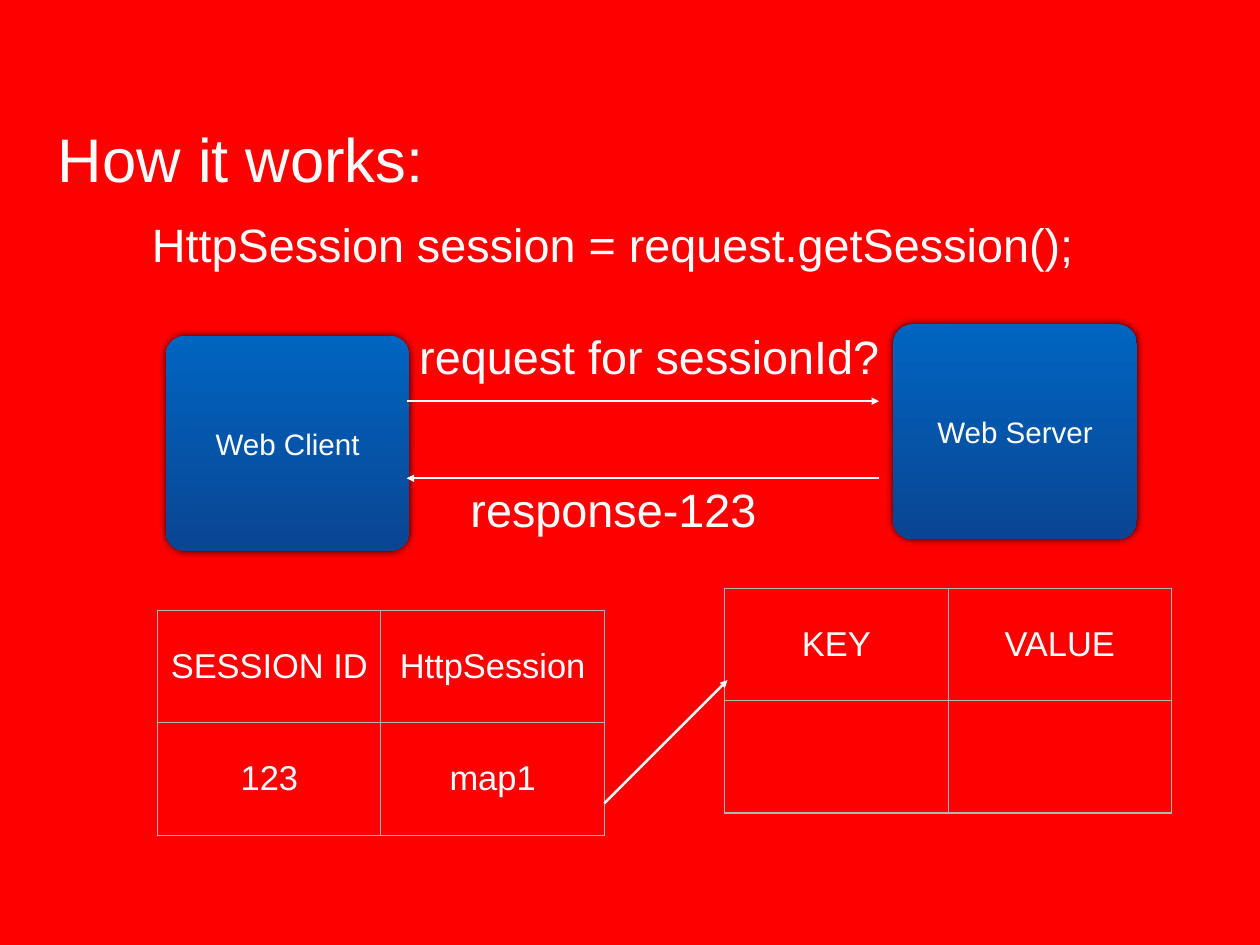
from dataclasses import dataclass

from lxml import etree
from pptx import Presentation
from pptx import util as u
from pptx.dml import color
from pptx.enum import shapes, text
from pptx.oxml import ns

EMU_PER_PX = 9144


@dataclass(frozen=True)
class Theme:
    background: str = "FF0000"
    ink: str = "FFFFFF"
    node_top: str = "0065C1"
    node_bottom: str = "094593"
    grid: str = "B4B4B4"
    shadow: str = "000000"
    font: str = "Arial"
    title: int = 50
    label: int = 38
    cell: int = 28
    node: int = 24


THEME = Theme()


def px(length):
    return u.Emu(length * EMU_PER_PX)


def scaled(box):
    return [px(length) for length in box]


def rgb(value):
    return color.RGBColor.from_string(value)


def add_xml(parent, tag, **attributes):
    return etree.SubElement(parent, ns.qn(tag), attributes)


def add_color(parent, value):
    return add_xml(parent, "a:srgbClr", val=value)


def write(frame, words, size):
    para = frame.paragraphs[0]
    para.alignment = text.PP_ALIGN.CENTER
    span = para.add_run()
    span.text = words
    span.font.name = THEME.font
    span.font.size = u.Pt(size)
    span.font.color.rgb = rgb(THEME.ink)


def set_margins(holder):
    holder.vertical_anchor = text.MSO_ANCHOR.MIDDLE
    holder.margin_left = holder.margin_right = px(6)
    holder.margin_top = holder.margin_bottom = px(6)


def set_frame(frame, wrap):
    frame.word_wrap = wrap
    frame.auto_size = text.MSO_AUTO_SIZE.NONE
    set_margins(frame)


def add_title(page, box, words):
    title = page.shapes.title
    title.left, title.top, title.width, title.height = scaled(box)
    set_frame(title.text_frame, False)
    write(title.text_frame, words, THEME.title)


def add_label(page, box, words):
    label = page.shapes.add_textbox(*scaled(box))
    set_frame(label.text_frame, False)
    write(label.text_frame, words, THEME.label)


def add_node(page, box, words):
    node = page.shapes.add_shape(shapes.MSO_SHAPE.ROUNDED_RECTANGLE, *scaled(box))
    node.adjustments[0] = 0.09
    node.fill.gradient()
    node.fill.gradient_angle = 270
    for stop, value in zip(node.fill.gradient_stops, (THEME.node_top, THEME.node_bottom)):
        stop.color.rgb = rgb(value)
    node.line.fill.background()
    node.shadow.inherit = False
    effects = node.element.spPr.find(ns.qn("a:effectLst"))
    shadow = add_xml(effects, "a:outerShdw", blurRad=str(u.Pt(6)), dist="0",
                     dir=str(315 * 60000), rotWithShape="0")
    add_xml(add_color(shadow, THEME.shadow), "a:alpha", val="80000")
    set_frame(node.text_frame, True)
    write(node.text_frame, words, THEME.node)


def add_arrow(page, start, end):
    arrow = page.shapes.add_connector(
        shapes.MSO_CONNECTOR.STRAIGHT, *scaled(start), *scaled(end))
    arrow.line.color.rgb = rgb(THEME.ink)
    arrow.line.width = u.Pt(2)
    properties = arrow.element.spPr
    add_xml(properties.find(ns.qn("a:ln")), "a:tailEnd", type="triangle")
    add_xml(properties, "a:effectLst")


def add_borders(frame):
    for properties in frame.element.iter(ns.qn("a:tcPr")):
        for side in ("L", "R", "T", "B"):
            border = add_xml(properties, f"a:ln{side}", w=str(u.Pt(1)))
            add_color(add_xml(border, "a:solidFill"), THEME.grid)
        add_xml(properties, "a:noFill")


def add_map_table(page, box, rows):
    frame = page.shapes.add_table(len(rows), len(rows[0]), *scaled(box))
    table = frame.table
    table.first_row = table.horz_banding = False
    for column in table.columns:
        column.width = px(box[2] // len(rows[0]))
    for row, values in zip(table.rows, rows):
        row.height = px(box[3] // len(rows))
        for cell, words in zip(row.cells, values):
            set_margins(cell)
            if words:
                write(cell.text_frame, words, THEME.cell)
    add_borders(frame)


def add_exchange(page, box):
    left, top, width, height = box
    node_width, node_height = 275, 243
    add_node(page, (left, top + height - node_height, node_width, node_height), "Web Client")
    add_node(page, (left + width - node_width, top, node_width, node_height), "Web Server")
    near, far = left + 272, left + 805
    add_arrow(page, (near, top + 87), (far, top + 87))
    add_arrow(page, (far, top + 174), (near, top + 174))
    add_label(page, (left + 279, top - 2, 534, 75), "request for sessionId?")
    add_label(page, (left + 337, top + 171, 337, 75), "response-123")


def add_storage(page, box):
    left, top, width, height = box
    table_width, table_height = 504, 254
    add_map_table(page, (left, top + height - table_height, table_width, table_height),
                  [("SESSION ID", "HttpSession"), ("123", "map1")])
    add_map_table(page, (left + width - table_width, top, table_width, table_height),
                  [("KEY", "VALUE"), ("", "")])
    add_arrow(page, (left + table_width, top + 243), (left + 643, top + 104))


def add_session_page(deck):
    page = deck.slides.add_slide(deck.slide_layouts[5])
    page.background.fill.solid()
    page.background.fill.fore_color.rgb = rgb(THEME.background)
    add_title(page, (32, 131, 480, 94), "How it works:")
    add_label(page, (163, 238, 1058, 75), "HttpSession session = request.getSession();")
    add_exchange(page, (187, 366, 1096, 256))
    add_storage(page, (178, 664, 1144, 279))


def main():
    deck = Presentation()
    deck.slide_width, deck.slide_height = px(1422), px(1067)
    add_session_page(deck)
    deck.save("out.pptx")


if __name__ == "__main__":
    main()
